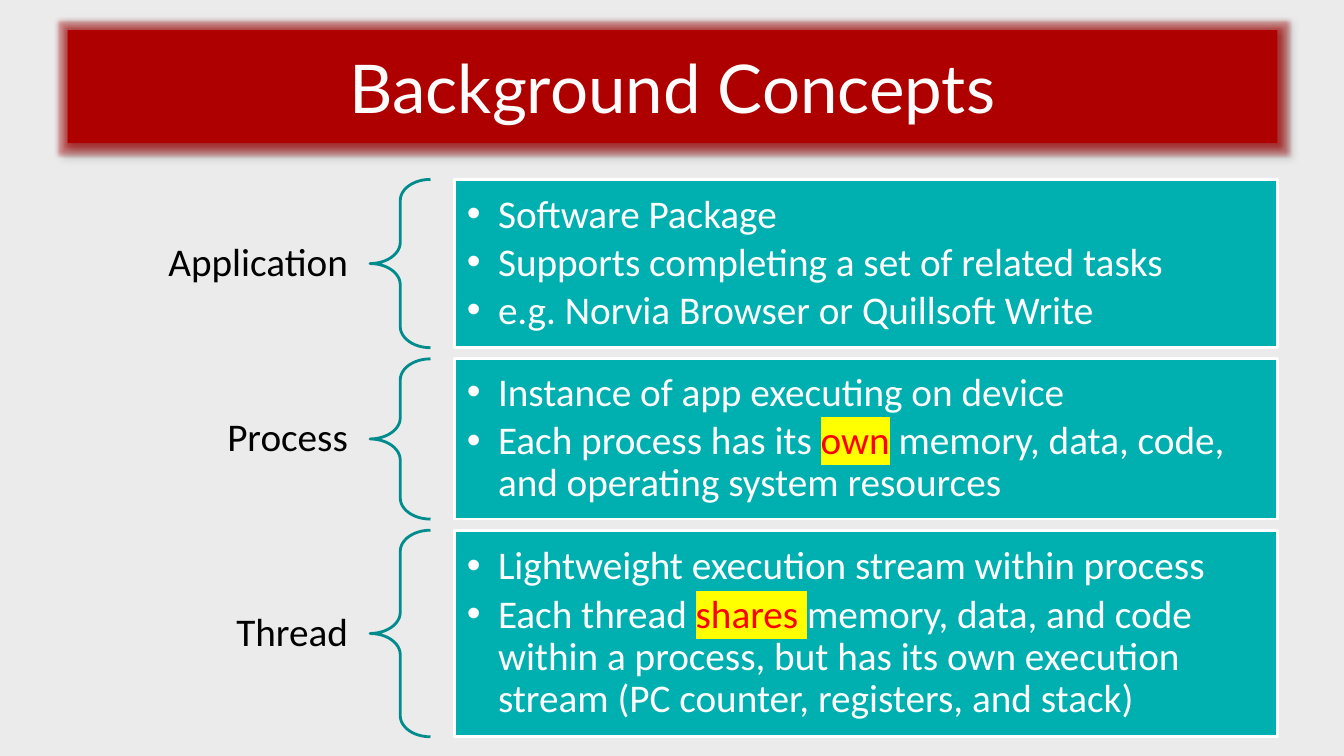
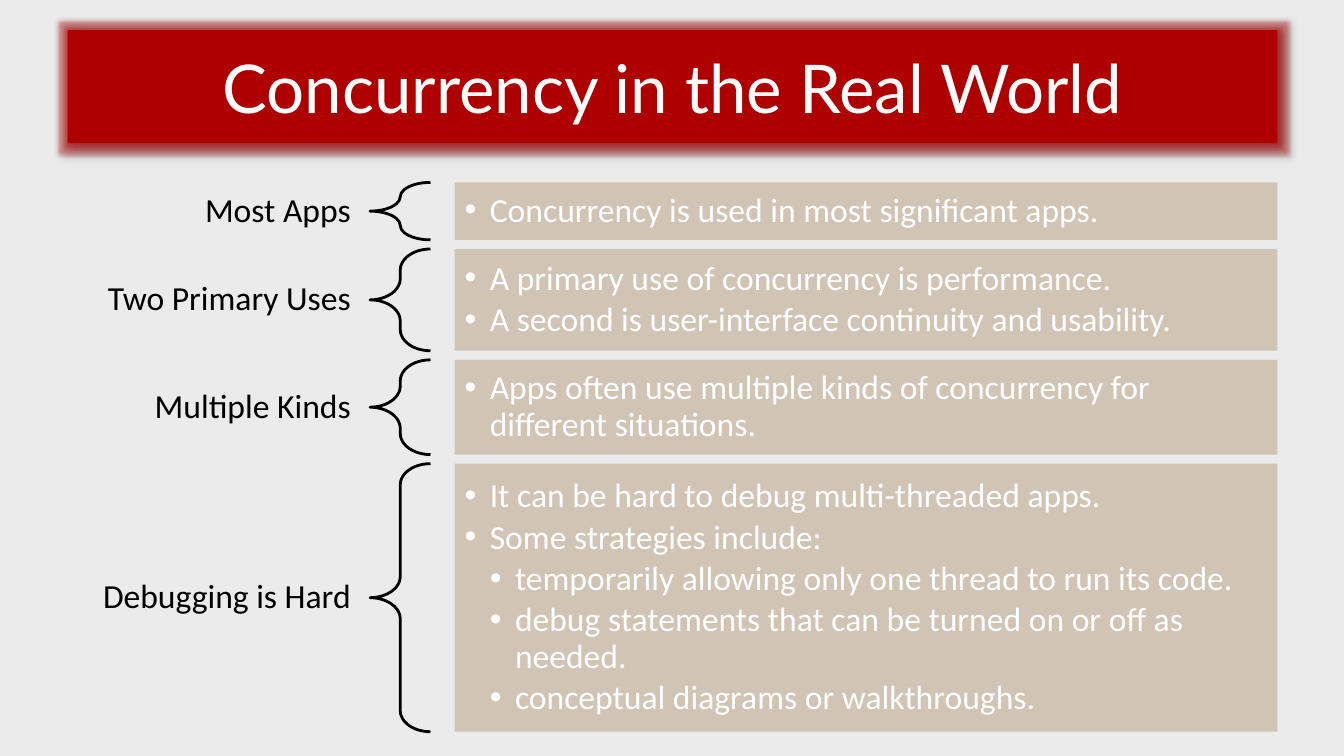
from lxml.etree import SubElement
from pptx import Presentation
from pptx.dml.color import RGBColor
from pptx.enum.shapes import MSO_SHAPE
from pptx.enum.text import MSO_ANCHOR, PP_ALIGN
from pptx.oxml import parse_xml
from pptx.oxml.ns import nsdecls, qn
from pptx.util import Emu, Inches, Pt

GREY = RGBColor(0xEB, 0xEB, 0xEB)
CRIMSON = RGBColor(0xAF, 0x00, 0x00)
CREAM = RGBColor(0xFE, 0xFC, 0xFC)
WHITE = RGBColor(0xFF, 0xFF, 0xFF)
BLACK = RGBColor(0x00, 0x00, 0x00)
RED = RGBColor(0xFF, 0x00, 0x00)
YELLOW = RGBColor(0xFF, 0xFF, 0x00)
TEAL = RGBColor(0x00, 0xAF, 0xAF)
PINE = RGBColor(0x00, 0x8C, 0x8C)
SAND = RGBColor(0xD0, 0xC5, 0xB4)

# Column edges and title band, in inches
LEFT, WIDTH = 0.67, 12
BRACE, BOX = 3.67, 4.51
BAND = (LEFT, 0.3, WIDTH, 1.12)

# Rows hold a label, a height and bullets; *word* is marked, "- " is a sub-bullet
SLIDES = [
    dict(
        title="Background Concepts", top=1.78, gap=0.11, size=28,
        pad=0.12, inset=0.22, indent=0.31, fill=TEAL, edge=WHITE, brace=PINE,
        rows=[
            ("Application", 1.67, [
                "Software Package",
                "Supports completing a set of related tasks",
                "e.g. Norvia Browser or Quillsoft Write"]),
            ("Process", 1.59, [
                "Instance of app executing on device",
                "Each process has its *own* memory, data, code, "
                "and operating system resources"]),
            ("Thread", 2.05, [
                "Lightweight execution stream within process",
                "Each thread *shares *memory, data, and code within a process, "
                "but has its own execution stream "
                "(PC counter, registers, and stack)"]),
        ]),
    dict(
        title="Concurrency in the Real World", top=1.81, gap=0.09, size=24,
        pad=0.1, inset=0.19, indent=0.25, fill=SAND, edge=None, brace=BLACK,
        rows=[
            ("Most Apps", 0.57, ["Concurrency is used in most significant apps."]),
            ("Two Primary Uses", 1.01, [
                "A primary use of concurrency is performance.",
                "A second is user-interface continuity and usability."]),
            ("Multiple Kinds", 0.94, [
                "Apps often use multiple kinds of concurrency "
                "for different situations."]),
            ("Debugging is Hard", 2.66, [
                "It can be hard to debug multi-threaded apps.",
                "Some strategies include:",
                "- temporarily allowing only one thread to run its code.",
                "- debug statements that can be turned on or off as needed.",
                "- conceptual diagrams or walkthroughs."]),
        ]),
]


def add_shape(slide, kind, area, fill=None, line=None):
    shape = slide.shapes.add_shape(kind, *map(Inches, area))
    shape.shadow.inherit = False
    if fill is None:
        shape.fill.background()
    else:
        shape.fill.solid()
        shape.fill.fore_color.rgb = fill
    if line is None:
        shape.line.fill.background()
    else:
        shape.line.color.rgb = line
        shape.line.width = Pt(2)
    return shape


def set_frame(shape, side, ends):
    frame = shape.text_frame
    frame.word_wrap = True
    frame.vertical_anchor = MSO_ANCHOR.MIDDLE
    frame.margin_left = frame.margin_right = Inches(side)
    frame.margin_top = frame.margin_bottom = Inches(ends)
    return frame


def set_font(para, name, size, color):
    para.font.name = name
    para.font.size = Pt(size)
    para.font.color.rgb = color


def add_title(slide, text):
    band = add_shape(slide, MSO_SHAPE.RECTANGLE, BAND, CRIMSON)
    props = band._element.spPr
    props.remove(props.find(qn("a:effectLst")))
    props.append(parse_xml(
        f'<a:effectLst {nsdecls("a")}>'
        f'<a:glow rad="{Pt(5)}"><a:srgbClr val="{CRIMSON}">'
        '<a:alpha val="40000"/></a:srgbClr></a:glow>'
        f'<a:outerShdw blurRad="{Pt(4)}" dist="{Pt(3)}" dir="2700000" algn="tl">'
        '<a:srgbClr val="000000"><a:alpha val="40000"/></a:srgbClr>'
        '</a:outerShdw></a:effectLst>'))
    para = set_frame(band, 0.1, 0.05).paragraphs[0]
    para.text = text
    para.alignment = PP_ALIGN.CENTER
    set_font(para, "Lato", 48, CREAM)


def add_label(slide, text, area, look):
    label = slide.shapes.add_textbox(*map(Inches, area))
    para = set_frame(label, look["inset"], 0.08).paragraphs[0]
    para.text = text
    para.alignment = PP_ALIGN.RIGHT
    para.line_spacing = 0.9
    set_font(para, "Calibri", look["size"], BLACK)


def mark(run):
    """Set a run in red on yellow."""
    run.font.color.rgb = RED
    light = SubElement(run.font._element, qn("a:highlight"))
    SubElement(light, qn("a:srgbClr"), val=str(YELLOW))


def fill_bullet(para, text, look):
    level = 2 if text.startswith("- ") else 1
    para.level = level
    para.line_spacing = 0.9
    para.space_after = Pt(0.15 * look["size"])
    props = para._p.get_or_add_pPr()
    step = Inches(look["indent"])
    props.set("marL", str(Emu(step * level)))
    props.set("indent", str(-step))
    SubElement(props, qn("a:buFont"), typeface="Arial")
    SubElement(props, qn("a:buChar"), char="•")
    para.alignment = PP_ALIGN.LEFT
    set_font(para, "Calibri", look["size"], WHITE)
    for spot, part in enumerate(text.removeprefix("- ").split("*")):
        run = para.add_run()
        run.text = part
        if spot % 2:
            mark(run)


def add_row(slide, top, row, look):
    name, high, lines = row
    add_label(slide, name, (LEFT, top, BRACE - LEFT, high), look)
    brace = add_shape(slide, MSO_SHAPE.LEFT_BRACE, (BRACE, top, 0.6, high),
                      line=look["brace"])
    brace.adjustments[0] = 0.35
    box = add_shape(slide, MSO_SHAPE.RECTANGLE,
                    (BOX, top, LEFT + WIDTH - BOX, high),
                    look["fill"], look["edge"])
    frame = set_frame(box, look["pad"], look["pad"])
    for spot, text in enumerate(lines):
        para = frame.add_paragraph() if spot else frame.paragraphs[0]
        fill_bullet(para, text, look)


def main():
    deck = Presentation()
    deck.slide_width, deck.slide_height = Inches(13.33), Inches(7.5)
    for look in SLIDES:
        slide = deck.slides.add_slide(deck.slide_layouts[6])
        slide.background.fill.solid()
        slide.background.fill.fore_color.rgb = GREY
        add_title(slide, look["title"])
        top = look["top"]
        for row in look["rows"]:
            add_row(slide, top, row, look)
            top += row[1] + look["gap"]
    deck.save("out.pptx")


if __name__ == "__main__":
    main()
